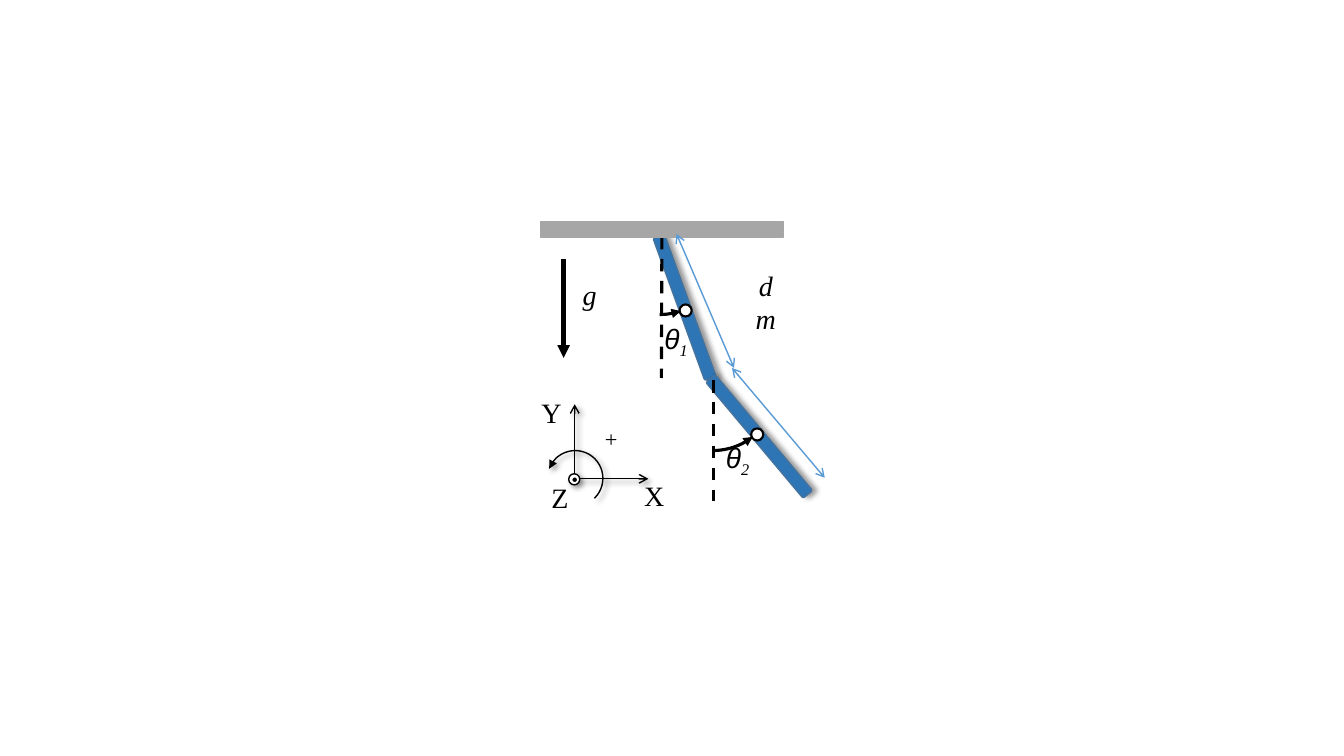
"""Draw a double pendulum with its angles, axes and gravity arrow."""
from dataclasses import dataclass
from typing import Any, Optional

from lxml.etree import SubElement
from pptx import Presentation
from pptx.dml.color import RGBColor
from pptx.enum.dml import MSO_LINE as Dash
from pptx.enum.shapes import MSO_CONNECTOR as Link, MSO_SHAPE as Kind
from pptx.enum.text import MSO_ANCHOR as Anchor, MSO_AUTO_SIZE as Fit, PP_ALIGN as Align
from pptx.oxml.ns import qn
from pptx.util import Inches, Pt

BLACK = RGBColor(0x00, 0x00, 0x00)
WHITE = RGBColor(0xFF, 0xFF, 0xFF)
GRAY = RGBColor(0xA6, 0xA6, 0xA6)
BLUE = RGBColor(0x2E, 0x75, 0xB6)
EDGE = RGBColor(0x43, 0x73, 0x9E)
SKY = RGBColor(0x5B, 0x9B, 0xD5)
SERIF = "Times New Roman"
SANS = "Arial"
Box = tuple[float, float, float, float]


@dataclass(frozen=True)
class Form:
    kind: Kind
    box: Box
    fill: Optional[RGBColor]
    line: RGBColor = BLACK
    width: float = 1
    turn: float = 0
    arc: tuple[float, ...] = ()
    shade: Optional[int] = None


@dataclass(frozen=True)
class Wire:
    ends: Box
    line: RGBColor = BLACK
    width: float = 1
    dash: Optional[Dash] = None
    head: str = ""
    tail: str = ""
    shade: Optional[int] = None


@dataclass(frozen=True)
class Note:
    box: Box
    text: str
    size: float = 20
    slant: bool = False
    wrap: bool = False


@dataclass(frozen=True)
class Plate:
    box: Box
    rows: tuple[str, ...]
    sub: str = ""
    font: str = SERIF
    align: Align = Align.LEFT
    anchor: Anchor = Anchor.TOP
    foot: float = 0


def put(item: Any, vals: dict[str, Any]) -> None:
    for name, val in vals.items():
        setattr(item, name, val)


def stroke(item: Any, part: Any, head: str = "", tail: str = "") -> None:
    item.line.color.rgb = part.line
    item.line.width = Pt(part.width)
    if isinstance(part, Wire) and part.dash:
        item.line.dash_style = part.dash
    rim = item.element.spPr.find(qn("a:ln"))
    for tag, style in (("a:headEnd", head), ("a:tailEnd", tail)):
        if style:
            SubElement(rim, qn(tag), type=style)


def cast(item: Any, angle: Optional[int]) -> None:
    props = item.element.spPr
    glow = props.find(qn("a:effectLst"))
    if glow is None:
        glow = SubElement(props, qn("a:effectLst"))
    if angle is not None:
        drop = SubElement(glow, qn("a:outerShdw"), blurRad=str(Pt(4)), dist=str(Pt(3)),
                          dir=str(angle * 60000), algn="tl", rotWithShape="0")
        tint = SubElement(drop, qn("a:srgbClr"), val=str(BLACK))
        SubElement(tint, qn("a:alpha"), val="40000")


def form(shapes: Any, part: Form) -> Any:
    item = shapes.add_shape(part.kind, *map(Inches, part.box))
    put(item, {"rotation": part.turn})
    item.shadow.inherit = False
    for spot, angle in enumerate(part.arc):
        item.adjustments[spot] = angle * 0.6
    if part.fill is None:
        item.fill.background()
    else:
        item.fill.solid()
        item.fill.fore_color.rgb = part.fill
    stroke(item, part, head="triangle" if part.arc else "")
    cast(item, part.shade)
    return item


def wire(shapes: Any, part: Wire) -> Any:
    item = shapes.add_connector(Link.STRAIGHT, *map(Inches, part.ends))
    stroke(item, part, part.head, part.tail)
    cast(item, part.shade)
    return item


def write(para: Any, text: str, font: str, size: float, slant: bool) -> Any:
    run = para.add_run()
    run.text = text
    put(run.font, {"name": font, "size": Pt(size), "italic": slant})
    run.font.color.rgb = BLACK
    return run


def note(shapes: Any, part: Note) -> Any:
    item = shapes.add_textbox(*map(Inches, part.box))
    frame = item.text_frame
    put(frame, {"word_wrap": part.wrap, "auto_size": Fit.SHAPE_TO_FIT_TEXT})
    write(frame.paragraphs[0], part.text, SERIF, part.size, part.slant)
    return item


def plate(shapes: Any, part: Plate) -> Any:
    item = shapes.add_shape(Kind.RECTANGLE, *map(Inches, part.box))
    item.shadow.inherit = False
    item.fill.solid()
    item.fill.fore_color.rgb = WHITE
    item.line.fill.background()
    frame = item.text_frame
    put(frame, {"margin_left": 0, "margin_top": 0, "margin_right": 0,
                "margin_bottom": Inches(part.foot), "word_wrap": True,
                "vertical_anchor": part.anchor, "auto_size": Fit.SHAPE_TO_FIT_TEXT})
    for spot, text in enumerate(part.rows):
        para = frame.add_paragraph() if spot else frame.paragraphs[0]
        para.alignment = part.align
        write(para, text, part.font, 20, True)
        if part.sub:
            low = write(para, part.sub, SERIF, 20, True)
            low.font._element.set("baseline", "-25000")
    return item


def rod(left: float, top: float, turn: float) -> Form:
    return Form(Kind.ROUNDED_RECTANGLE, (left, top, 0.12, 1.5), BLUE, EDGE, turn=turn, shade=0)


def sweep(left: float, top: float, size: float, start: float) -> Form:
    return Form(Kind.ARC, (left, top, size, size), None, width=2.25, arc=(start, 89.8))


def ring(left: float, top: float) -> Form:
    return Form(Kind.OVAL, (left, top, 0.12, 0.12), WHITE, width=1.5)


def plumb(left: float, top: float, low: float) -> Wire:
    return Wire((left, top, left, low), width=2.25, dash=Dash.DASH)


def axis(right: float, top: float) -> Wire:
    return Wire((5.7, 4.75, right, top), tail="arrow", shade=45)


def span(*ends: float) -> Wire:
    return Wire(ends, SKY, head="arrow", tail="arrow")


PLUMB = plumb(6.56, 2.35, 3.75)
ROOF = Form(Kind.RECTANGLE, (5.36, 2.2, 2.41, 0.15), GRAY, GRAY)
PARTS = (
    Plate((7.2, 4.37, 0.4, 0.34), ("θ",), "2", SANS),
    Plate((6.59, 3.19, 0.34, 0.34), ("θ",), "1", SANS),
    rod(6.73, 2.3, 340),
    PLUMB,
    sweep(5.84, 1.72, 1.4, 72.23),
    axis(6.43, 4.75),
    axis(5.7, 4.01),
    Form(Kind.OVAL, (5.64, 4.7, 0.11, 0.11), WHITE, shade=45),
    Form(Kind.OVAL, (5.67, 4.73, 0.06, 0.06), BLACK, WHITE),
    Note((5.27, 3.87, 0.31, 0.44), "Y", wrap=True),
    Note((6.29, 4.7, 0.41, 0.44), "X"),
    Note((5.37, 4.72, 0.37, 0.44), "Z"),
    Form(Kind.ARC, (5.43, 4.47, 0.55, 0.55), None, arc=(200.1, 46.18), shade=45),
    Note((5.9, 4.17, 0.33, 0.37), "+", 16),
    rod(7.47, 3.58, 320),
    plumb(7.08, 3.77, 4.97),
    sweep(6.42, 3.17, 1.3, 52.34),
    Wire((5.59, 2.57, 5.59, 3.55), width=3, tail="triangle"),
    Note((5.68, 2.7, 0.34, 0.44), "g", slant=True),
    ROOF,
    ring(6.74, 3.02),
    ring(7.45, 4.25),
    span(7.26, 3.65, 8.18, 4.74),
    span(6.71, 2.32, 7.28, 3.65),
    Plate((7.47, 2.66, 0.25, 0.77), ("d", "m"), align=Align.CENTER,
          anchor=Anchor.MIDDLE, foot=0.1),
)
DRAW = {Form: form, Wire: wire, Note: note, Plate: plate}


def main() -> None:
    deck = Presentation()
    put(deck, {"slide_width": Inches(13.33), "slide_height": Inches(7.5)})
    shapes = deck.slides.add_slide(deck.slide_layouts[6]).shapes
    made = {part: DRAW[type(part)](shapes, part) for part in PARTS}
    made[PLUMB].begin_connect(made[ROOF], 2)
    deck.save("out.pptx")


if __name__ == "__main__":
    main()
